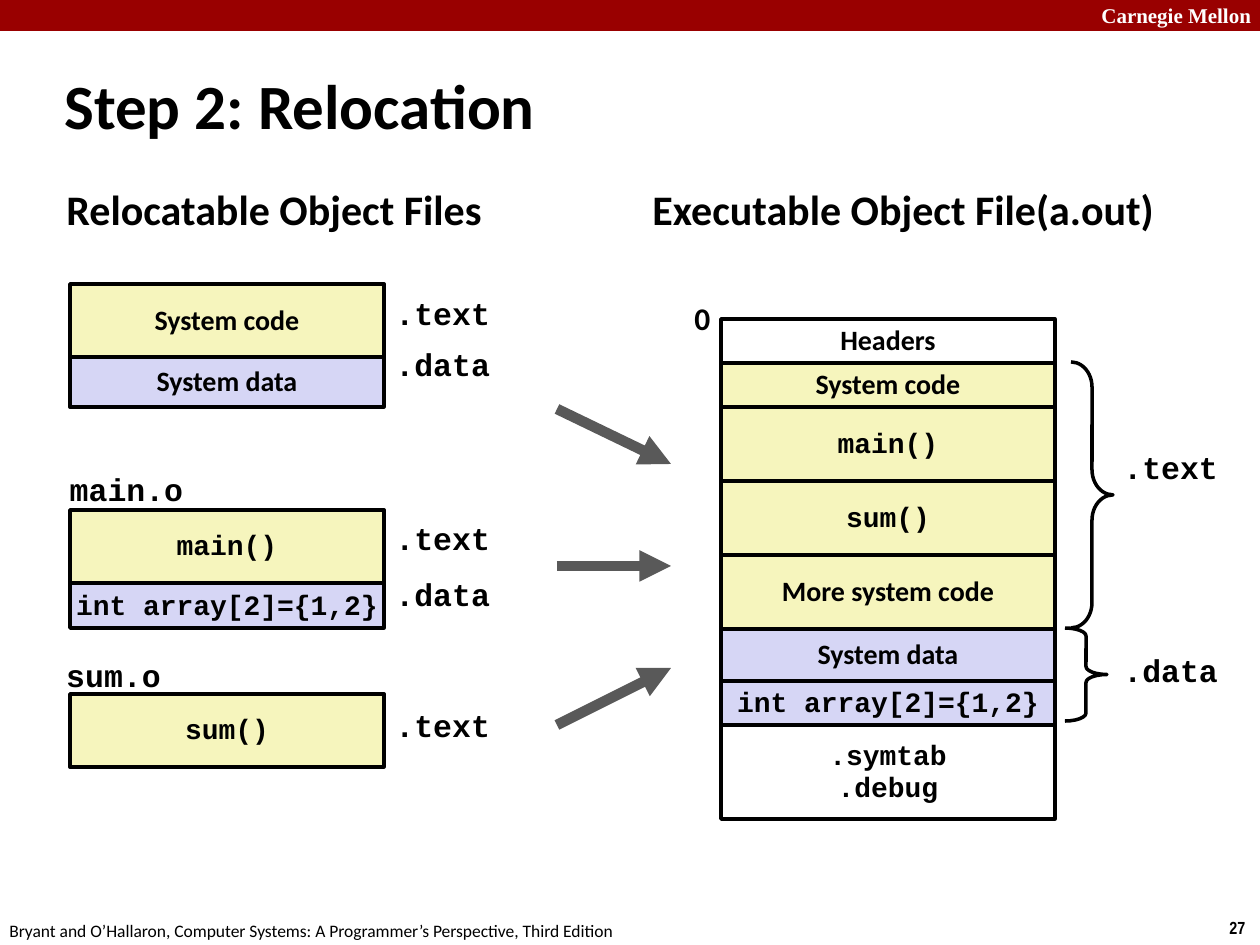
import pptx
import pptx.util
import pptx.dml.color
import pptx.enum.shapes
import pptx.enum.text
import pptx.oxml.ns
from lxml import etree

PX = 914400 / 126
SHAPE = pptx.enum.shapes.MSO_SHAPE
ALIGN = pptx.enum.text.PP_ALIGN
ANCHOR = pptx.enum.text.MSO_ANCHOR
FIT = pptx.enum.text.MSO_AUTO_SIZE


class Theme:
    ink = "000000"
    paper = "FFFFFF"
    banner = "990000"
    code = "F6F5BD"
    data = "D6D6F5"
    arrow = "595959"
    sans = "Calibri"
    mono = "Courier New"
    serif = "Times New Roman"
    narrow = "Arial Narrow"
    title, heading, label, cell, header, footer = 36, 24, 18, 16, 12, 10
    spacing = {"Calibri": 0.98, "Courier New": 0.94}
    outline, shaft = 2, 6


def emu(*lengths):
    return [pptx.util.Emu(round(n * PX)) for n in lengths]


def rgb(value):
    return pptx.dml.color.RGBColor.from_string(value)


def apply(target, values):
    for name, value in values.items():
        setattr(target, name, value)


def write(sp, text, size, face, color=Theme.ink, bold=True, align=ALIGN.LEFT, spacing=None, **frame):
    tf = sp.text_frame
    apply(tf, {"word_wrap": False, **frame})
    for i, line in enumerate(text.split("\n")):
        p = tf.paragraphs[0] if i == 0 else tf.add_paragraph()
        apply(p, {"alignment": align, "line_spacing": spacing})
        r = p.add_run()
        r.text = line
        apply(r.font, {"size": pptx.util.Pt(size), "name": face, "bold": bold})
        r.font.color.rgb = rgb(color)


def add_text(s, box, text, size, face, **fmt):
    sp = s.shapes.add_textbox(*emu(*box))
    write(sp, text, size, face, **{"auto_size": FIT.SHAPE_TO_FIT_TEXT, **fmt})


def add_label(s, box, text, face=Theme.mono, size=Theme.label, align=ALIGN.LEFT):
    add_text(s, box, text, size, face, align=align, spacing=Theme.spacing[face])


def add_outline(s, kind, box, fill=None):
    sp = s.shapes.add_shape(kind, *emu(*box))
    sp.shadow.inherit = False
    if fill:
        sp.fill.solid()
        sp.fill.fore_color.rgb = rgb(fill)
    else:
        sp.fill.background()
    sp.line.color.rgb = rgb(Theme.ink)
    sp.line.width = pptx.util.Pt(Theme.outline)
    return sp


def add_stack(s, x, y, w, sections):
    for text, h, fill, face in sections:
        sp = add_outline(s, SHAPE.RECTANGLE, (x, y, w, h), fill)
        write(sp, text, Theme.cell, face, align=ALIGN.CENTER,
              spacing=Theme.spacing[face], vertical_anchor=ANCHOR.MIDDLE)
        y += h


def add_brace(s, box, curve):
    sp = add_outline(s, SHAPE.RIGHT_BRACE, box)
    sp.adjustments[0] = curve


def add_arrow(s, x1, y1, x2, y2):
    c = s.shapes.add_connector(pptx.enum.shapes.MSO_CONNECTOR.STRAIGHT, *emu(x1, y1, x2, y2))
    c.line.color.rgb = rgb(Theme.arrow)
    c.line.width = pptx.util.Pt(Theme.shaft)
    qn = pptx.oxml.ns.qn
    etree.SubElement(c.line._get_or_add_ln(), qn("a:tailEnd"), type="triangle")
    etree.SubElement(c._element.spPr, qn("a:effectLst"))


def add_frame(s, w, h):
    sp = s.shapes.add_shape(SHAPE.RECTANGLE, *emu(0, 0, w, 31))
    sp.shadow.inherit = False
    sp.fill.solid()
    sp.fill.fore_color.rgb = rgb(Theme.banner)
    sp.line.fill.background()
    add_text(s, (w - 171, -4, 180, 38), "Carnegie Mellon", Theme.header, Theme.serif, color=Theme.paper)
    add_text(s, (w - 43, h - 34, 43, 34), "27", Theme.footer, Theme.narrow)
    add_text(s, (-3, h - 31, 640, 34),
             "Bryant and O’Hallaron, Computer Systems: A Programmer’s Perspective, Third Edition",
             Theme.footer, Theme.sans, bold=False)
    add_text(s, (52, 64, 1047, 80), "Step 2: Relocation", Theme.title, Theme.sans,
             word_wrap=True, auto_size=FIT.NONE, vertical_anchor=ANCHOR.MIDDLE)


def add_object_files(s, x, y, w):
    add_label(s, (x - 16, y - 104, 445, 63), "Relocatable Object Files", Theme.sans, Theme.heading)
    add_label(s, (x - 13, y + 183, 139, 49), "main.o", align=ALIGN.CENTER)
    add_label(s, (x - 17, y + 369, 121, 49), "sum.o", align=ALIGN.CENTER)
    system = [("System code", 73, Theme.code, Theme.sans), ("System data", 50, Theme.data, Theme.sans)]
    main_o = [("main()", 73, Theme.code, Theme.mono), ("int array[2]={1,2}", 45, Theme.data, Theme.mono)]
    sum_o = [("sum()", 73, Theme.code, Theme.mono)]
    for dy, sections in ((0, system), (226, main_o), (410, sum_o)):
        add_stack(s, x, y + dy, w, sections)
    for dy, text in ((7, ".text"), (58, ".data"), (232, ".text"), (288, ".data"), (419, ".text")):
        add_label(s, (x + w - 1, y + dy, 120, 49), text)


def add_executable(s, x, y, w):
    add_label(s, (x - 81, y - 139, 532, 63), "Executable Object File(a.out)", Theme.sans, Theme.heading)
    add_label(s, (x - 39, y - 24, 43, 50), "0", Theme.sans)
    add_stack(s, x, y, w, [
        ("Headers", 44, Theme.paper, Theme.sans),
        ("System code", 44, Theme.code, Theme.sans),
        ("main()", 74, Theme.code, Theme.mono),
        ("sum()", 74, Theme.code, Theme.mono),
        ("More system code", 74, Theme.code, Theme.sans),
        ("System data", 52, Theme.data, Theme.sans),
        ("int array[2]={1,2}", 44, Theme.data, Theme.mono),
        (".symtab\n.debug", 94, Theme.paper, Theme.mono),
    ])
    right = x + w
    add_brace(s, (right + 16, y + 43, 42, 266), 0.6)
    add_brace(s, (right + 10, y + 309, 42, 93), 0.19)
    for dy, text in ((126, ".text"), (329, ".data")):
        add_label(s, (right + 56, y + dy, 120, 49), text)


def add_arrows(s, x, y, w):
    for start, end in ((0, 55), (157, 157), (316, 259)):
        add_arrow(s, x, y + start, x + w, y + end)


def main():
    prs = pptx.Presentation()
    prs.slide_width, prs.slide_height = emu(1260, 945)
    s = prs.slides.add_slide(prs.slide_layouts[6])
    add_frame(s, 1260, 945)
    add_object_files(s, 70, 284, 314)
    add_executable(s, 721, 319, 334)
    add_arrows(s, 557, 409, 114)
    prs.save("out.pptx")


if __name__ == "__main__":
    main()
